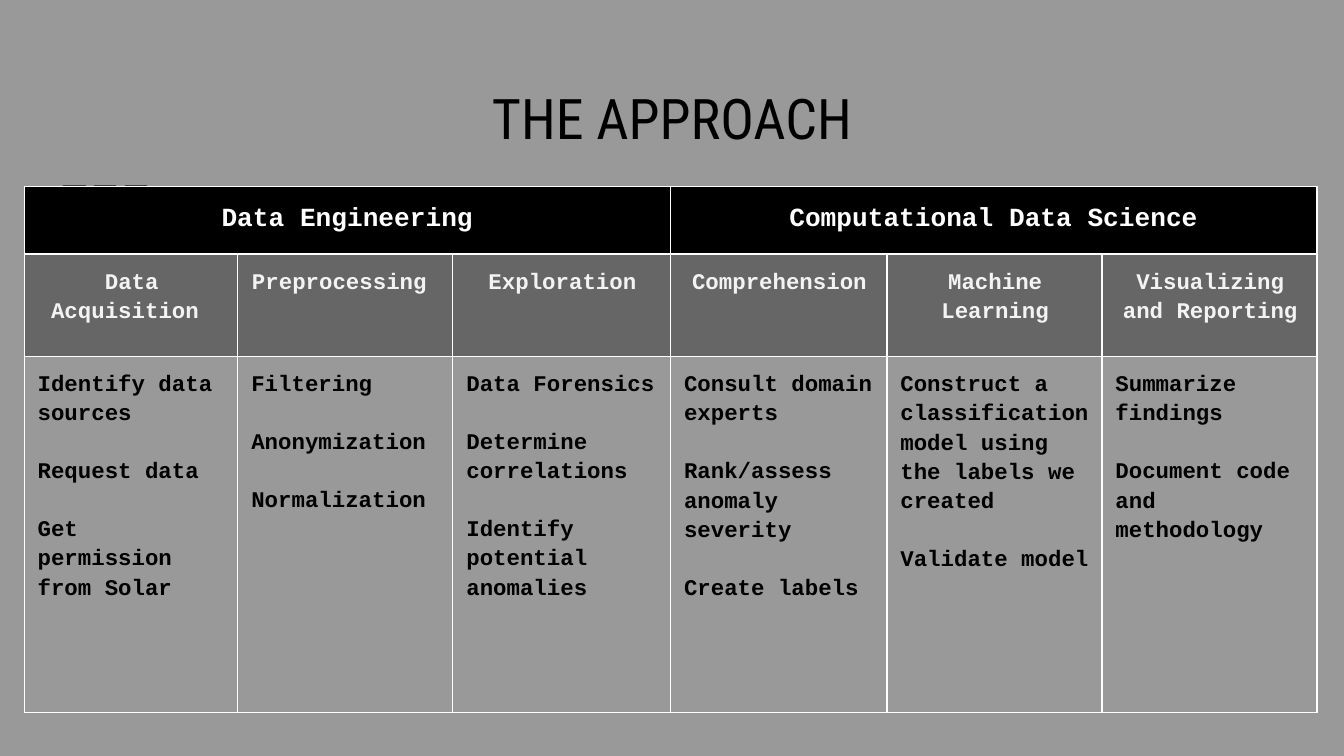
import pptx
import pptx.util
import pptx.dml.color
import pptx.enum.dml
import pptx.enum.shapes
import pptx.enum.text
import pptx.oxml
import pptx.oxml.ns
from pptx.util import Inches

ALIGN = pptx.enum.text.PP_ALIGN
BLACK, WHITE = "000000", "FFFFFF"
BODY_FONT = "Courier New"
PARAGRAPH_GAP = 15.5  # one 12 pt line at 1.15 spacing

COLUMN_WIDTHS = [1.59, 1.6, 1.62, 1.61, 1.6, 1.6]
ROW_HEIGHTS = [0.5, 0.76, 2.65]
PHASES = ["Data Engineering", "Computational Data Science"]
STEPS = [
    ("Data Acquisition ",
     ["Identify data sources", "Request data", "Get permission from Solar"]),
    ("Preprocessing ",
     ["Filtering", "Anonymization", "Normalization"]),
    ("Exploration",
     ["Data Forensics", "Determine correlations", "Identify potential anomalies"]),
    ("Comprehension",
     ["Consult domain experts", "Rank/assess anomaly severity", "Create labels"]),
    ("Machine Learning",
     ["Construct a classification model using the labels we created",
      "Validate model"]),
    ("Visualizing and Reporting",
     ["Summarize findings", "Document code and methodology"]),
]


def rgb(color):
    return pptx.dml.color.RGBColor.from_string(color)


def add_run(p, text, font, size, color, bold=False):
    r = p.add_run()
    r.text = text
    r.font.name = font
    r.font.size = pptx.util.Pt(size)
    r.font.bold = bold
    r.font.color.rgb = rgb(color)


def add_dashes(slide, x, y, width):
    line = slide.shapes.add_connector(
        pptx.enum.shapes.MSO_CONNECTOR.STRAIGHT,
        Inches(x), Inches(y), Inches(x + width), Inches(y))
    line.line.color.rgb = rgb("424242")
    line.line.width = pptx.util.Pt(1.5)
    line.line.dash_style = pptx.enum.dml.MSO_LINE.LONG_DASH
    line._element.spPr.append(pptx.oxml.parse_xml(
        f'<a:effectLst {pptx.oxml.ns.nsdecls("a")}/>'))


def add_title(slide, x, y, width, height):
    sp = slide.shapes.add_textbox(
        Inches(x), Inches(y), Inches(width), Inches(height))
    tf = sp.text_frame
    tf.word_wrap = True
    tf.vertical_anchor = pptx.enum.text.MSO_ANCHOR.BOTTOM
    tf.margin_left = tf.margin_right = Inches(0.1)
    tf.margin_top = tf.margin_bottom = Inches(0.1)
    p = tf.paragraphs[0]
    p.alignment = ALIGN.CENTER
    add_run(p, "THE APPROACH", "Roboto Condensed", 30, BLACK)


def set_borders(cell):
    tcPr = cell._tc.get_or_add_tcPr()
    for side in ("lnL", "lnR", "lnT", "lnB"):
        tcPr.append(pptx.oxml.parse_xml(
            f'<a:{side} {pptx.oxml.ns.nsdecls("a")} w="9525"><a:solidFill>'
            f'<a:srgbClr val="{WHITE}"/></a:solidFill></a:{side}>'))


def fill_cell(cell, lines, size, color, align, fill=None):
    if fill:
        cell.fill.solid()
        cell.fill.fore_color.rgb = rgb(fill)
    else:
        cell.fill.background()
    tf = cell.text_frame
    for i, text in enumerate(lines):
        p = tf.add_paragraph() if i else tf.paragraphs[0]
        p.alignment = align
        p.line_spacing = 1.15
        if i:
            p.space_before = pptx.util.Pt(PARAGRAPH_GAP)
        add_run(p, text, BODY_FONT, size, color, bold=True)


def add_approach_table(slide, x, y):
    table = slide.shapes.add_table(
        len(ROW_HEIGHTS), len(COLUMN_WIDTHS), Inches(x), Inches(y),
        Inches(sum(COLUMN_WIDTHS)), Inches(sum(ROW_HEIGHTS))).table
    table.first_row = table.horz_banding = False
    for column, width in zip(table.columns, COLUMN_WIDTHS):
        column.width = Inches(width)
    for row, height in zip(table.rows, ROW_HEIGHTS):
        row.height = Inches(height)
    for cell in table.iter_cells():
        cell.margin_left = cell.margin_right = Inches(0.1)
        cell.margin_top = cell.margin_bottom = Inches(0.1)
        set_borders(cell)

    # Phase headings, each over an equal share of the steps
    span = len(STEPS) // len(PHASES)
    for i, phase in enumerate(PHASES):
        cell = table.cell(0, i * span)
        cell.merge(table.cell(0, (i + 1) * span - 1))
        fill_cell(cell, [phase], 14, WHITE, ALIGN.CENTER, BLACK)

    # Step headings, with room for the longest word, and their tasks
    for col, (step, tasks) in enumerate(STEPS):
        heading = table.cell(1, col)
        heading.margin_right = Inches(0.09)
        fill_cell(heading, [step], 12, "F3F3F3", ALIGN.CENTER, "666666")
        fill_cell(table.cell(2, col), tasks, 12, BLACK, ALIGN.LEFT)


def main():
    prs = pptx.Presentation()
    prs.slide_width = Inches(10)
    prs.slide_height = prs.slide_width * 9 // 16
    slide = prs.slides.add_slide(prs.slide_layouts[6])
    slide.background.fill.solid()
    slide.background.fill.fore_color.rgb = rgb("999999")
    add_dashes(slide, 0.47, 1.39, 0.67)
    add_title(slide, 0.34, 0.42, 9.32, 0.8)
    add_approach_table(slide, 0.18, 1.39)
    prs.save("out.pptx")


if __name__ == "__main__":
    main()
